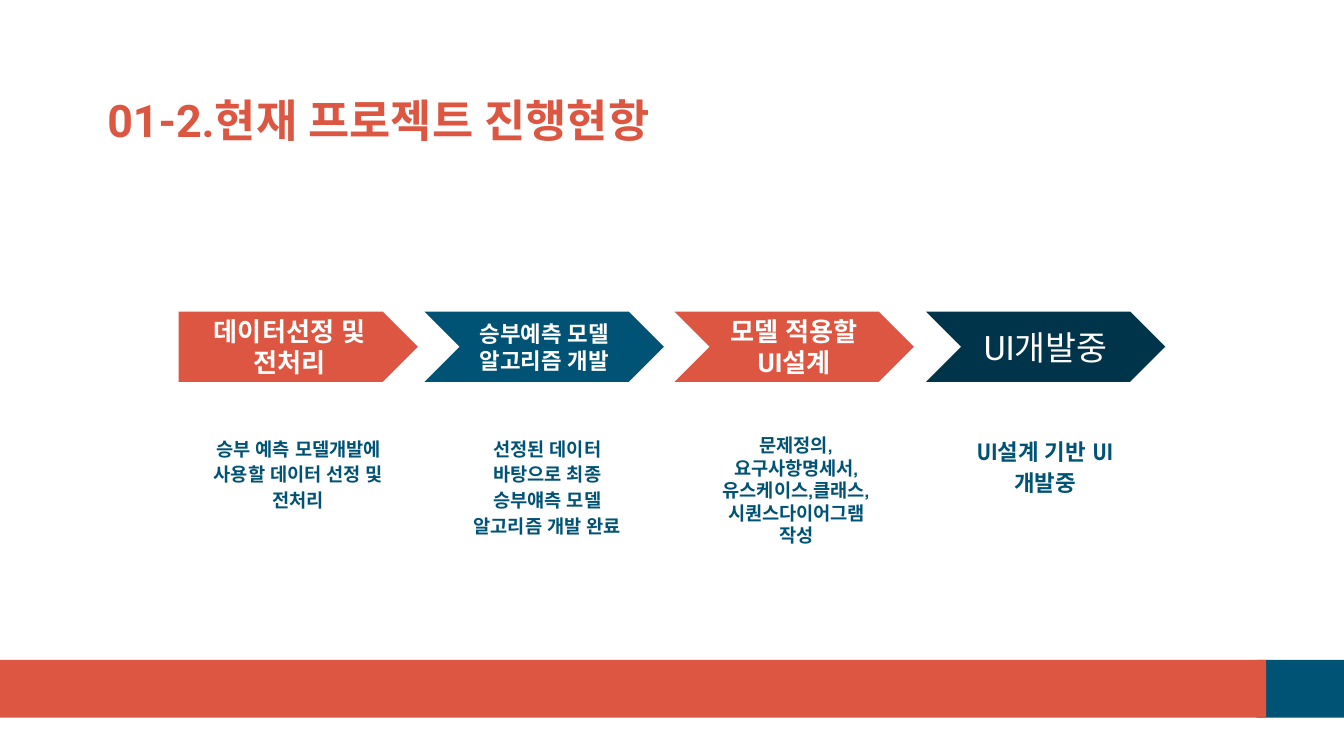
from dataclasses import dataclass
from lxml import etree
from pptx import Presentation, util as u
from pptx.dml.color import RGBColor
from pptx.enum import shapes, text
from pptx.oxml import ns

WIDE, HIGH = 10, 5.625


@dataclass(frozen=True)
class Theme:
    red: str = "DC5641"
    blue: str = "005375"
    navy: str = "00344A"
    white: str = "FFFFFF"
    head: str = "Roboto"
    body: str = "TeX Gyre Adventor"
    title: int = 24
    large: int = 18
    mid: int = 14
    small: int = 12
    tiny: int = 10


@dataclass(frozen=True)
class Box:
    left: float
    top: float
    width: float
    height: float

    def place(self) -> tuple[int, ...]:
        return (u.Inches(self.left * WIDE / 100), u.Inches(self.top * HIGH / 100),
                u.Inches(self.width * WIDE / 100), u.Inches(self.height * HIGH / 100))


@dataclass(frozen=True)
class Type:
    font: str
    size: int
    color: str
    bold: bool = True
    center: bool = True
    middle: bool = True
    loose: bool = False


@dataclass(frozen=True)
class Step:
    left: float
    fill: str
    label: str
    size: int
    note: str
    small: int
    bold: bool = True
    loose: bool = True


def write(shape, words: str, kind: Type) -> None:
    frame = shape.text_frame
    frame.word_wrap = True
    frame.auto_size = text.MSO_AUTO_SIZE.NONE
    frame.margin_left = frame.margin_right = u.Inches(0.1)
    frame.margin_top = frame.margin_bottom = u.Inches(0.1)
    frame.vertical_anchor = text.MSO_ANCHOR.MIDDLE if kind.middle else text.MSO_ANCHOR.TOP
    line = frame.paragraphs[0]
    line.text = words
    line.alignment = text.PP_ALIGN.CENTER if kind.center else text.PP_ALIGN.LEFT
    if kind.loose:
        line.line_spacing = 1.15
        line.space_after = u.Pt(16)
    line.font.name = kind.font
    line.font.size = u.Pt(kind.size)
    line.font.bold = kind.bold
    line.font.color.rgb = RGBColor.from_string(kind.color)
    base = line._p.pPr.find(ns.qn("a:defRPr"))
    etree.SubElement(base, ns.qn("a:ea"), typeface=kind.font)


def block(slide, form: shapes.MSO_SHAPE, box: Box, fill: str):
    shape = slide.shapes.add_shape(form, *box.place())
    shape.shadow.inherit = False
    shape.fill.solid()
    shape.fill.fore_color.rgb = RGBColor.from_string(fill)
    shape.line.fill.background()
    return shape


def label(slide, box: Box, words: str, kind: Type) -> None:
    write(slide.shapes.add_textbox(*box.place()), words, kind)


def draw(slide, theme: Theme, index: int, step: Step) -> None:
    form = shapes.MSO_SHAPE.CHEVRON if index else shapes.MSO_SHAPE.PENTAGON
    arrow = block(slide, form, Box(step.left, 41.24, 17.8, 9.27), step.fill)
    arrow.adjustments[0] = 0.5
    write(arrow, step.label, Type(theme.head, step.size, theme.white, step.bold))
    label(slide, Box(14.8 + 18.52 * index, 55.64, 14.8, 14.22), step.note,
          Type(theme.body, step.small, theme.blue, middle=False, loose=step.loose))


def main() -> None:
    theme = Theme()
    deck = Presentation()
    deck.slide_width, deck.slide_height = u.Inches(WIDE), u.Inches(HIGH)
    slide = deck.slides.add_slide(deck.slide_layouts[6])
    steps = (
        Step(13.3, theme.red, "데이터선정 및 전처리", theme.mid,
             "승부 예측 모델개발에 사용할 데이터 선정 및 전처리", theme.tiny),
        Step(31.6, theme.blue, "승부예측 모델 알고리즘 개발", theme.small,
             "선정된 데이터 바탕으로 최종 승부얘측 모델 알고리즘 개발 완료", theme.tiny),
        Step(50.2, theme.red, "모델 적용할 UI설계", theme.mid,
             "문제정의,요구사항명세서,유스케이스,클래스,시퀀스다이어그램 작성",
             theme.tiny, loose=False),
        Step(68.9, theme.navy, "UI개발중", theme.large,
             "UI설계 기반 UI 개발중", theme.small, bold=False),
    )
    for left, width, fill in ((93.5, 6.5, theme.blue), (0, 94.2, theme.red)):
        block(slide, shapes.MSO_SHAPE.RECTANGLE, Box(left, 87.29, width, 7.64), fill)
    label(slide, Box(7, 12.05, 88.2, 7.64), "01-2.현재 프로젝트 진행현항",
          Type(theme.head, theme.title, theme.red, center=False))
    for index, step in enumerate(steps):
        draw(slide, theme, index, step)
    deck.save("out.pptx")


main()
